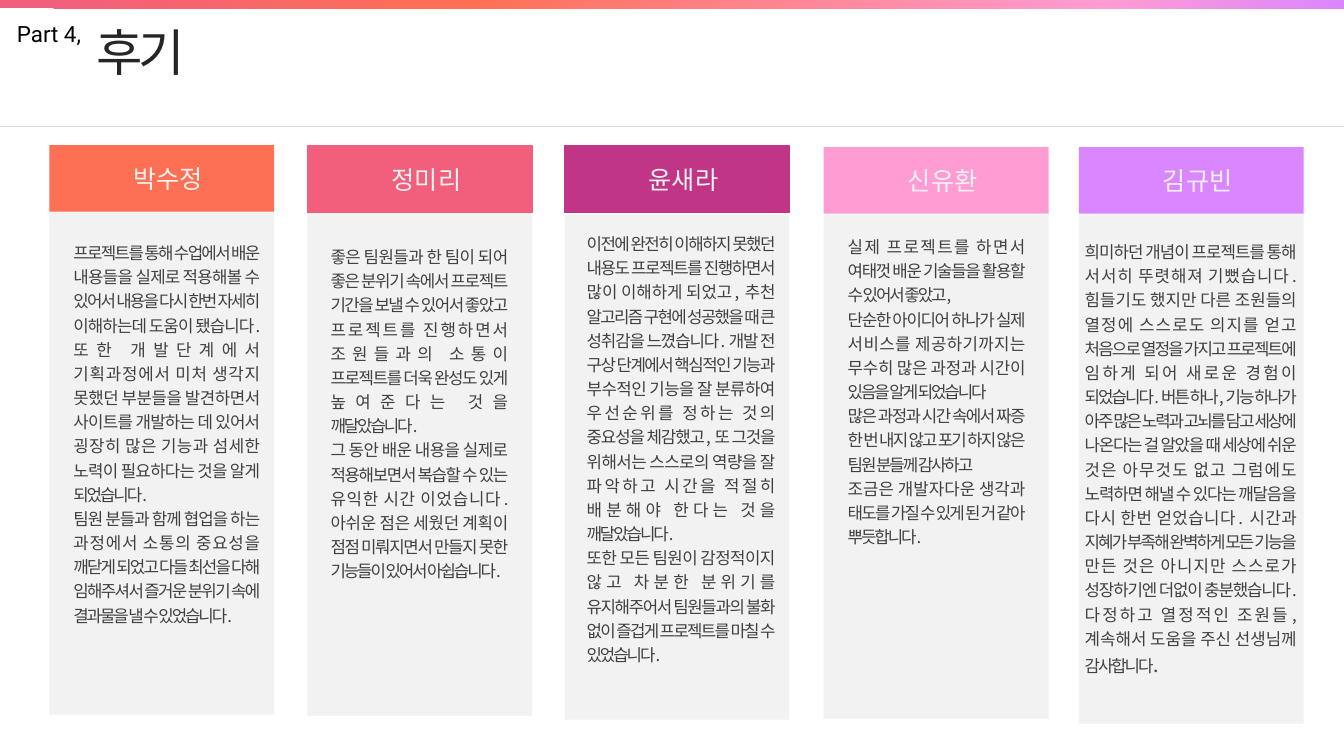
from dataclasses import dataclass

from lxml import etree
from pptx import Presentation
from pptx.dml.color import RGBColor
from pptx.enum.shapes import MSO_CONNECTOR, MSO_SHAPE
from pptx.enum.text import MSO_ANCHOR, MSO_AUTO_SIZE, PP_ALIGN
from pptx.oxml.ns import qn
from pptx.util import Emu, Pt

RECTANGLE = MSO_SHAPE.RECTANGLE
STRAIGHT = MSO_CONNECTOR.STRAIGHT
TOP = MSO_ANCHOR.TOP
GROW = MSO_AUTO_SIZE.SHAPE_TO_FIT_TEXT
LEFT, CENTER, JUSTIFY = PP_ALIGN.LEFT, PP_ALIGN.CENTER, PP_ALIGN.JUSTIFY

EMU_PER_PX = 9144  # 100 px to the inch
PAGE_WIDTH, PAGE_HEIGHT = 1333, 750
CARD_WIDTH, HEAD_HEIGHT = 223, 66
SANS, ROBOTO = "Noto Sans CJK KR", "Roboto"
COLORS = {
    "black": "000000",
    "title": "262626",
    "body": "404040",
    "rule": "D9D9D9",
    "pale": "F2F2F2",
    "orange": "FE7054",
    "rose": "F25F7D",
    "plum": "C03586",
    "pink": "FF9CD3",
    "violet": "DA87FF",
}
BAR_STOPS = [(3, "rose"), (35, "orange"), (82, "pink"), (100, "violet")]


@dataclass(frozen=True)
class Box:
    left: int
    top: int
    width: int
    height: int

    def emu(self) -> list[Emu]:
        return [px(n) for n in (self.left, self.top, self.width, self.height)]


@dataclass(frozen=True)
class Card:
    name: str
    color: str
    head_top: int
    panel: Box
    review_box: Box
    review: tuple[str, ...]
    outlined: bool = False
    closing: str = ""  # larger mark after the last paragraph


CARDS = [
    Card("박수정", "orange", 144, Box(49, 192, CARD_WIDTH, 517), Box(63, 232, 203, 420), (
        "프로젝트를 통해 수업에서 배운 내용들을 실제로 적용해볼 수 있어서 내용을 다시 한번 자세히 "
        "이해하는데 도움이 됐습니다. 또한 개발단계에서 기획과정에서 미처 생각지 못했던 부분들을 "
        "발견하면서 사이트를 개발하는 데 있어서 굉장히 많은 기능과 섬세한 노력이 필요하다는 것을 "
        "알게 되었습니다.",
        "팀원 분들과 함께 협업을 하는 과정에서 소통의 중요성을 깨닫게 되었고 다들 최선을 다해 "
        "임해주셔서 즐거운 분위기 속에 결과물을 낼 수 있었습니다.",
    )),
    Card("정미리", "rose", 145, Box(305, 205, CARD_WIDTH, 505), Box(318, 236, 194, 374), (
        "좋은 팀원들과 한 팀이 되어 좋은 분위기 속에서 프로젝트 기간을 보낼 수 있어서 좋았고 "
        "프로젝트를 진행하면서 조원들과의 소통이 프로젝트를 더욱 완성도 있게 높여준다는 것을 "
        "깨달았습니다.",
        "그 동안 배운 내용을 실제로 적용해보면서 복습할 수 있는 유익한 시간 이었습니다. 아쉬운 점은 "
        "세웠던 계획이 점점 미뤄지면서 만들지 못한 기능들이 있어서 아쉽습니다.",
    ), outlined=True),
    Card("윤새라", "plum", 145, Box(560, 213, CARD_WIDTH, 501), Box(572, 223, 205, 468), (
        "이전에 완전히 이해하지 못했던 내용도 프로젝트를 진행하면서 많이 이해하게 되었고, 추천 "
        "알고리즘 구현에 성공했을 때 큰 성취감을 느꼈습니다. 개발 전 구상 단계에서 핵심적인 기능과 "
        "부수적인 기능을 잘 분류하여 우선순위를 정하는 것의 중요성을 체감했고, 또 그것을 위해서는 "
        "스스로의 역량을 잘 파악하고 시간을 적절히 배분해야 한다는 것을 깨달았습니다.",
        "또한 모든 팀원이 감정적이지 않고 차분한 분위기를 유지해주어서 팀원들과의 불화 없이 즐겁게 "
        "프로젝트를 마칠 수 있었습니다.",
    ), outlined=True),
    Card("신유환", "pink", 146, Box(817, 213, CARD_WIDTH, 500), Box(831, 226, 194, 374), (
        "실제 프로젝트를 하면서 여태껏 배운 기술들을 활용할 수 있어서 좋았고,",
        "단순한 아이디어 하나가 실제 서비스를 제공하기까지는 무수히 많은 과정과 시간이 있음을 알게 "
        "되었습니다",
        "많은 과정과 시간 속에서 짜증 한 번 내지 않고 포기 하지 않은 팀원 분들께 감사하고",
        "조금은 개발자다운 생각과 태도를 가질 수 있게 된 거 같아 뿌듯합니다.",
    )),
    Card("김규빈", "violet", 146, Box(1070, 213, CARD_WIDTH, 505), Box(1066, 231, 228, 450), (
        "희미하던 개념이 프로젝트를 통해 서서히 뚜렷해져 기뻤습니다. 힘들기도 했지만 다른 조원들의 "
        "열정에 스스로도 의지를 얻고 처음으로 열정을 가지고 프로젝트에 임하게 되어 새로운 경험이 "
        "되었습니다. 버튼 하나, 기능 하나가 아주 많은 노력과 고뇌를 담고 세상에 나온다는 걸 알았을 때 "
        "세상에 쉬운 것은 아무것도 없고 그럼에도 노력하면 해낼 수 있다는 깨달음을 다시 한번 "
        "얻었습니다. 시간과 지혜가 부족해 완벽하게 모든 기능을 만든 것은 아니지만 스스로가 "
        "성장하기엔 더없이 충분했습니다. 다정하고 열정적인 조원들, 계속해서 도움을 주신 선생님께 "
        "감사합니다",
    ), closing="."),
]


def px(length: int) -> Emu:
    return Emu(length * EMU_PER_PX)


def rgb(color: str) -> RGBColor:
    return RGBColor.from_string(COLORS[color])


def add_span(para, text: str, *, size: int, face: str, color: str, spacing: float = 0) -> None:
    span = para.add_run()
    span.text = text
    span.font.size = Pt(size)
    span.font.name = face
    span.font.color.rgb = rgb(color)
    properties = span.font._element
    if spacing:
        properties.set("spc", str(round(spacing * 100)))
    etree.SubElement(properties, qn("a:ea")).set("typeface", face)


def write(shape, paragraphs: tuple[str, ...], *, align=LEFT, wrap: bool = False,
          line_spacing: float = 1.0, closing: str = "", **style) -> None:
    """Fill a shape with paragraphs, ending with an optional 14 pt closing mark."""
    frame = shape.text_frame
    frame.word_wrap = wrap
    frame.auto_size = GROW
    frame.vertical_anchor = TOP
    for index, text in enumerate(paragraphs):
        para = frame.add_paragraph() if index else frame.paragraphs[0]
        para.alignment = align
        para.line_spacing = line_spacing
        para.space_before = Pt(0)
        add_span(para, text, **style)
    if closing:
        add_span(para, closing, **{**style, "size": 14})


def add_text(page, box: Box, *paragraphs: str, **style) -> None:
    write(page.shapes.add_textbox(*box.emu()), paragraphs, **style)


def add_block(page, box: Box, color: str, outlined: bool = False):
    block = page.shapes.add_shape(RECTANGLE, *box.emu())
    block.shadow.inherit = False
    block.fill.solid()
    block.fill.fore_color.rgb = rgb(color)
    if outlined:
        block.line.color.rgb = rgb(color)
        block.line.width = Pt(1)
    else:
        block.line.fill.background()
    return block


def add_gradient_bar(page) -> None:
    bar = add_block(page, Box(0, 0, PAGE_WIDTH, 8), "rose")
    bar.fill.gradient()
    bar.fill.gradient_angle = 315
    stops = bar.element.spPr.find(".//" + qn("a:gsLst"))
    for stop in list(stops):
        stops.remove(stop)
    for percent, color in BAR_STOPS:
        stop = etree.SubElement(stops, qn("a:gs"), pos=str(percent * 1000))
        etree.SubElement(stop, qn("a:srgbClr"), val=COLORS[color])


def add_rule(page, top: int) -> None:
    rule = page.shapes.add_connector(STRAIGHT, px(0), px(top), px(PAGE_WIDTH), px(top))
    rule.line.color.rgb = rgb("rule")
    rule.line.width = Pt(0.5)
    etree.SubElement(rule.element.spPr, qn("a:effectLst"))


def add_card(page, card: Card) -> None:
    left = card.panel.left
    add_block(page, card.panel, "pale")
    add_block(page, Box(left, card.head_top, CARD_WIDTH, HEAD_HEIGHT), card.color, card.outlined)
    add_text(page, Box(left + 70, card.head_top + 13, 96, 40), card.name,
             align=CENTER, size=18, face=ROBOTO, color="pale")
    add_text(page, card.review_box, *card.review, closing=card.closing, align=JUSTIFY, wrap=True,
             line_spacing=1.2, size=12, face=SANS, color="body", spacing=-1.5)


def main() -> None:
    deck = Presentation()
    deck.slide_width, deck.slide_height = px(PAGE_WIDTH), px(PAGE_HEIGHT)
    page = deck.slides.add_slide(deck.slide_layouts[5])
    add_rule(page, 125)
    title = page.shapes.title
    title.left, title.top, title.width, title.height = Box(86, 16, 113, 71).emu()
    write(title, ("후기",), size=36, face=SANS, color="title", spacing=-3)
    add_text(page, Box(7, 15, 91, 37), "Part 4,", size=16, face=ROBOTO, color="black")
    add_gradient_bar(page)
    for card in CARDS:
        add_card(page, card)
    deck.save("out.pptx")


if __name__ == "__main__":
    main()
